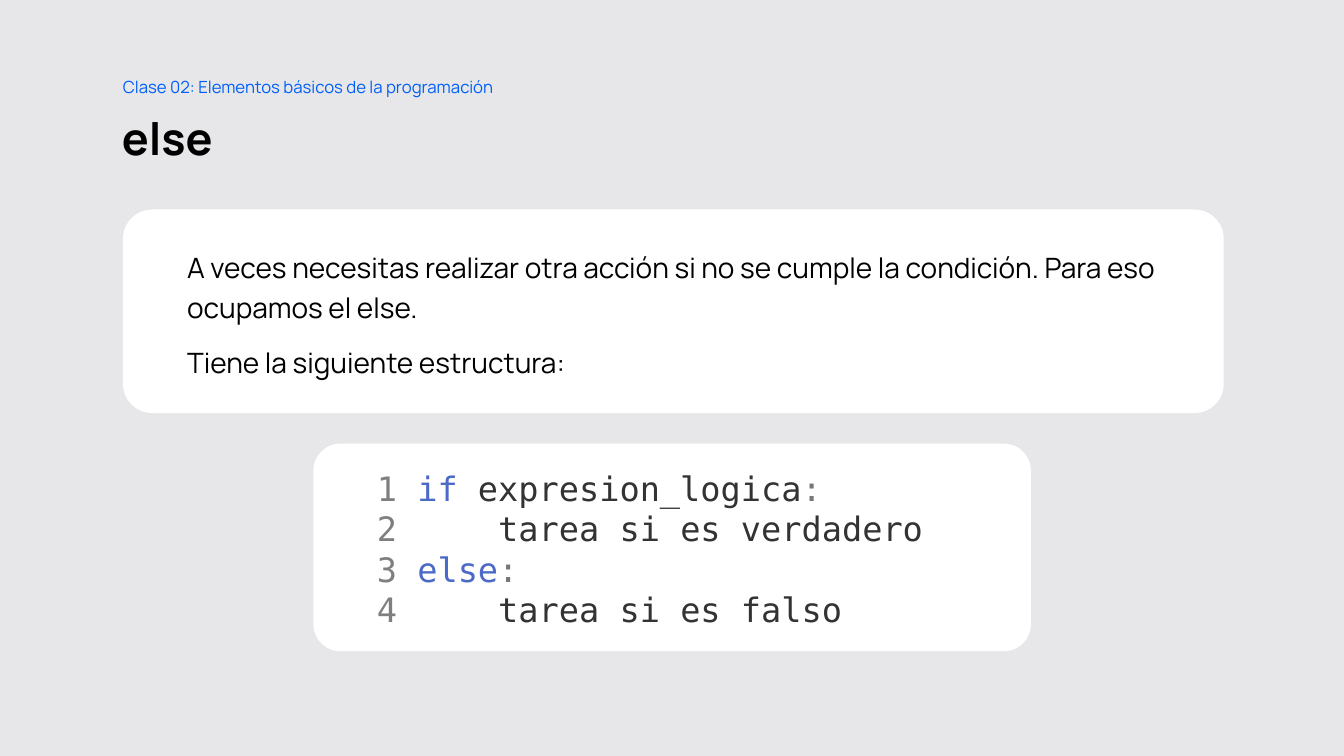
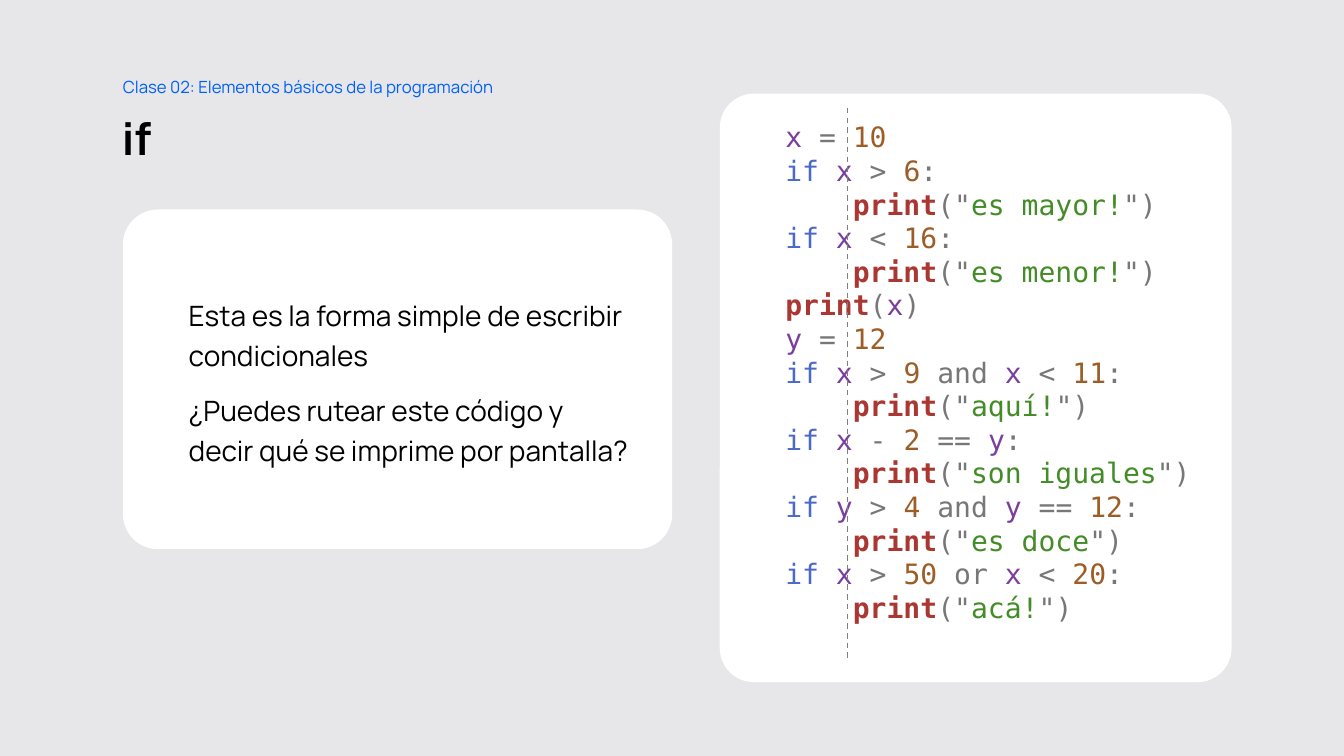
"""Build two class slides about conditionals, with text cards and coloured code."""
from itertools import groupby

from lxml import etree
from pptx import Presentation
from pptx.dml.color import RGBColor
from pptx.enum.dml import MSO_LINE_DASH_STYLE as DASH
from pptx.enum.shapes import MSO_CONNECTOR, MSO_SHAPE
from pptx.enum.text import MSO_ANCHOR, MSO_AUTO_SIZE, PP_ALIGN
from pptx.oxml.ns import qn
from pptx.util import Cm, Pt

LESSON = "Clase 02: Elementos básicos de la programación"
SLIDES = [
    {
        "title": "else",
        "text": {
            "box": (3.1, 5.28, 27.74, 5.13), "radius": 0.74,
            "lines": [
                "A veces necesitas realizar otra acción si no se cumple la condición. "
                "Para eso ocupamos el else.",
                "Tiene la siguiente estructura:",
            ],
        },
        "code": {
            "box": (7.9, 11.18, 18.08, 5.23), "radius": 0.68,
            "size": 24, "numbered": True,
            "lines": [
                "if expresion_logica:",
                "    tarea si es verdadero",
                "else:",
                "    tarea si es falso",
            ],
        },
    },
    {
        "title": "if",
        "text": {
            "box": (3.1, 5.28, 13.84, 8.56), "radius": 0.88,
            "lines": [
                "Esta es la forma simple de escribir condicionales",
                "¿Puedes rutear este código y decir qué se imprime por pantalla?",
            ],
        },
        "code": {
            "box": (18.14, 2.36, 12.9, 14.83), "radius": 0.86,
            "size": 20, "numbered": False,
            "lines": [
                'x = 10',
                'if x > 6:',
                '    print("es mayor!")',
                'if x < 16:',
                '    print("es menor!")',
                'print(x)',
                'y = 12',
                'if x > 9 and x < 11:',
                '    print("aquí!")',
                'if x - 2 == y:',
                '    print("son iguales")',
                'if y > 4 and y == 12:',
                '    print("es doce")',
                'if x > 50 or x < 20:',
                '    print("acá!")',
            ],
        },
        "guide": (21.36, 2.72, 16.64),
    },
]
COLORS = {
    "background": "E7E7E9", "card": "FFFFFF", "ink": "000000", "lesson": "005FF9",
    "gray": "7F7F7F", "keyword": "4B69C6", "variable": "7A3E9D", "number": "9C5D27",
    "call": "AA3731", "string": "448C27", "mark": "777777", "plain": "333333",
}
WORDS = {
    "if": "keyword", "else": "keyword", "and": "mark", "or": "mark",
    "x": "variable", "y": "variable", "print": "call",
}
FONT, CODE_FONT = "Manrope", "DejaVu Sans Mono"


def color(name):
    return RGBColor.from_string(COLORS[name])


def style(font, size, name, face=FONT, bold=False):
    font.name, font.size, font.bold = face, Pt(size), bold
    font.color.rgb = color(name)


def set_frame(tf, margins, anchor):
    tf.word_wrap, tf.auto_size, tf.vertical_anchor = True, MSO_AUTO_SIZE.NONE, anchor
    tf.margin_left, tf.margin_top, tf.margin_right, tf.margin_bottom = map(Cm, margins)


def write(tf, lines, size, name, spacing, bold=False):
    tf.text = "\n".join(lines)
    for i, p in enumerate(tf.paragraphs):
        p.alignment, p.line_spacing = PP_ALIGN.LEFT, spacing
        p.space_before = Pt(10 if i else 0)
        for r in p.runs:
            style(r.font, size, name, bold=bold)


def tokens(line):
    """Yield (kind, text) pairs for one line of code."""
    for i, part in enumerate(line.split('"')):
        if i:
            yield "mark", '"'
        if i % 2:
            yield "string", part
            continue
        for is_word, chars in groupby(part, lambda c: c.isalnum() or c == "_"):
            text = "".join(chars)
            if is_word:
                yield WORDS.get(text, "number" if text.isdigit() else "plain"), text
            else:
                yield "mark", text


def add_heading(slide, title):
    sp = slide.shapes.title
    sp.left, sp.top, sp.width, sp.height = map(Cm, (3.07, 2.54, 27.56, 1.91))
    set_frame(sp.text_frame, (0, 0.25, 0.25, 0.13), MSO_ANCHOR.MIDDLE)
    write(sp.text_frame, [title], 32, "ink", 0.9, bold=True)
    tf = slide.shapes.add_textbox(*map(Cm, (3.1, 1.7, 10.69, 0.86))).text_frame
    set_frame(tf, (0, 0.13, 0.25, 0.13), MSO_ANCHOR.TOP)
    write(tf, [LESSON], 12, "lesson", 1.2)


def add_card(slide, card, top_margin, anchor):
    sp = slide.shapes.add_shape(MSO_SHAPE.ROUNDED_RECTANGLE, *map(Cm, card["box"]))
    sp.adjustments[0] = card["radius"] / min(card["box"][2:])
    sp.shadow.inherit = False
    sp.fill.solid()
    sp.fill.fore_color.rgb = color("card")
    sp.line.fill.background()
    set_frame(sp.text_frame, (1.4, top_margin, 0.76, 0), anchor)
    return sp.text_frame


def add_code(slide, card):
    tf = add_card(slide, card, 0.41, MSO_ANCHOR.TOP)
    for n, line in enumerate(card["lines"], 1):
        p = tf.paragraphs[0] if n == 1 else tf.add_paragraph()
        p.alignment = PP_ALIGN.LEFT
        number = [("gray", f"{n} ")] if card["numbered"] else []
        for kind, text in number + list(tokens(line)):
            r = p.add_run()
            r.text = text
            style(r.font, card["size"], kind, CODE_FONT, kind == "call")


def add_guide(slide, x, top, bottom):
    line = slide.shapes.add_connector(
        MSO_CONNECTOR.STRAIGHT, Cm(x), Cm(top), Cm(x), Cm(bottom))
    line.line.color.rgb = color("gray")
    line.line.width, line.line.dash_style = Pt(1), DASH.DASH
    etree.SubElement(line._element.spPr, qn("a:effectLst"))


def main():
    prs = Presentation()
    prs.slide_width, prs.slide_height = Cm(33.87), Cm(19.05)
    fill = prs.slide_master.background.fill
    fill.solid()
    fill.fore_color.rgb = color("background")
    for content in SLIDES:
        slide = prs.slides.add_slide(prs.slide_layouts[5])
        add_heading(slide, content["title"])
        tf = add_card(slide, content["text"], 0, MSO_ANCHOR.MIDDLE)
        write(tf, content["text"]["lines"], 20, "ink", 1.2)
        add_code(slide, content["code"])
        if "guide" in content:
            add_guide(slide, *content["guide"])
    prs.save("out.pptx")


if __name__ == "__main__":
    main()
